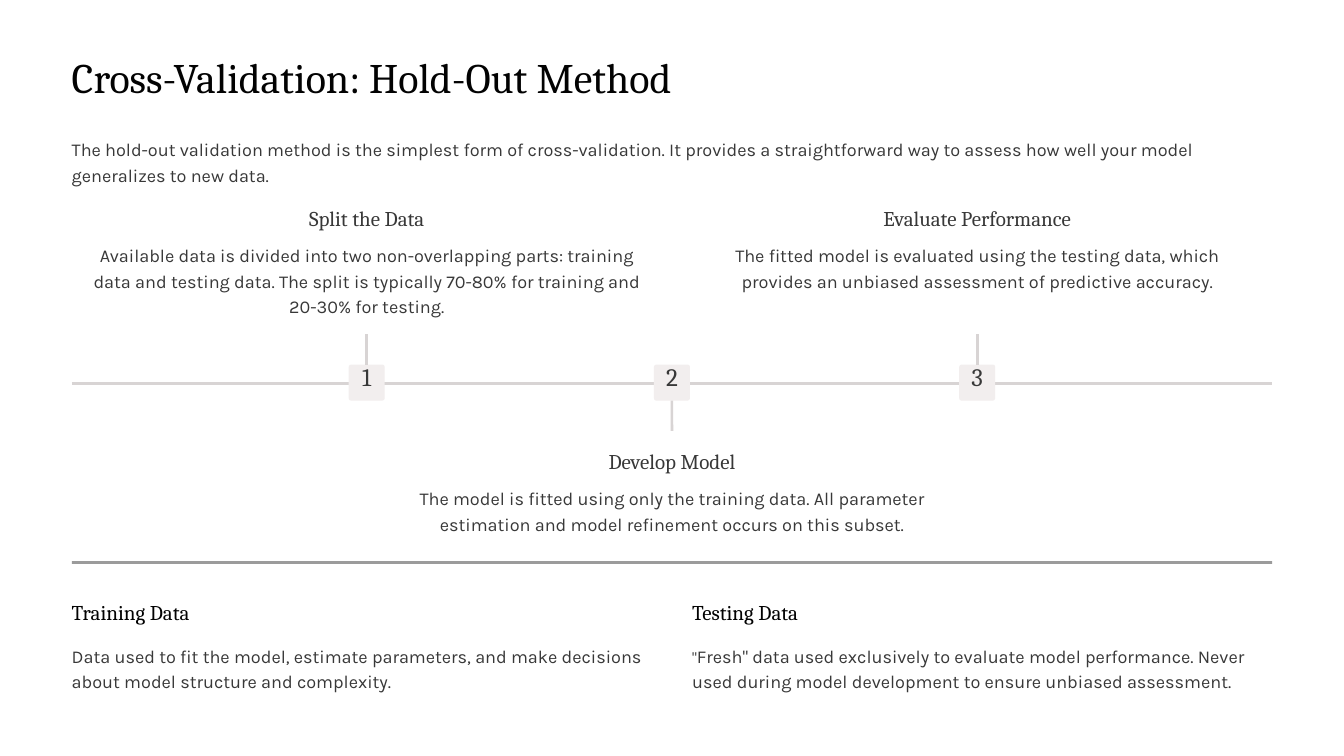
from lxml import etree
from pptx import Presentation
from pptx.dml.color import RGBColor
from pptx.enum import shapes, text
from pptx.oxml import ns
from pptx.util import Cm, Pt

WHITE = RGBColor(0xFF, 0xFF, 0xFF)
NIGHT = RGBColor(0x00, 0x00, 0x00)
BLACK = RGBColor(0x02, 0x02, 0x02)
INK = RGBColor(0x38, 0x38, 0x38)
RULE = RGBColor(0xD8, 0xD4, 0xD4)
TILE = RGBColor(0xF2, 0xEE, 0xEE)

PAGE = (40.64, 22.86)
LEFT, WIDE = 2.17, 36.3
SIDE = 1.09  # edge of a numbered tile
MID = text.PP_ALIGN.CENTER

TITLE = dict(name="Cambria", size=Pt(36), color=BLACK, lead=45)
HEAD = dict(name="Cambria", size=Pt(18), color=BLACK, lead=22.5)
STEP = dict(HEAD, color=INK)
BODY = dict(name="Karla", size=Pt(15.5), color=INK, lead=22)
DIGIT = dict(name="Cambria", size=Pt(21.5), color=INK, lead=21.5)

STEPS = [
    ("Split the Data",
     "Available data is divided into two non-overlapping parts: training data and "
     "testing data. The split is typically 70-80% for training and 20-30% for testing."),
    ("Develop Model",
     "The model is fitted using only the training data. All parameter estimation "
     "and model refinement occurs on this subset."),
    ("Evaluate Performance",
     "The fitted model is evaluated using the testing data, which provides an "
     "unbiased assessment of predictive accuracy."),
]
PARTS = [
    ("Training Data",
     [("Data used to fit the model, estimate parameters, and make decisions about "
       "model structure and complexity.", 15.5)]),
    ("Testing Data",
     [('"', 13.5),
      ('Fresh" data used exclusively to evaluate model performance. Never used '
       "during model development to ensure unbiased assessment.", 15.5)]),
]


def write(frame, runs, style, align=text.PP_ALIGN.LEFT, top=0):
    """Fill a frame with one paragraph; runs is a string or (words, size) pairs."""
    frame.word_wrap = True
    frame.vertical_anchor = text.MSO_ANCHOR.TOP
    for side in ("left", "right", "bottom"):
        setattr(frame, f"margin_{side}", 0)
    frame.margin_top = Cm(top)
    para = frame.paragraphs[0]
    para.alignment = align
    para.line_spacing = Pt(style["lead"])
    if isinstance(runs, str):
        runs = [(runs, style["size"].pt)]
    for words, size in runs:
        run = para.add_run()
        run.text = words
        for key, value in dict(name=style["name"], size=Pt(size)).items():
            setattr(run.font, key, value)
        run.font.color.rgb = style["color"]


def label(slide, box, runs, style, align=text.PP_ALIGN.LEFT):
    frame = slide.shapes.add_textbox(*map(Cm, box)).text_frame
    write(frame, runs, style, align)


def block(slide, kind, box, color):
    """Plain filled shape without outline or shadow."""
    shape = slide.shapes.add_shape(kind, *map(Cm, box))
    shape.shadow.inherit = False
    shape.fill.solid()
    shape.fill.fore_color.rgb = color
    shape.line.fill.background()
    return shape


def line(slide, x1, y1, x2, y2, color=RULE, width=2.16):
    link = slide.shapes.add_connector(
        shapes.MSO_CONNECTOR.STRAIGHT, *map(Cm, (x1, y1, x2, y2)))
    link.line.color.rgb = color
    link.line.width = Pt(width)
    etree.SubElement(link._element.spPr, ns.qn("a:effectLst"))
    return link


def tile(slide, x, y, digit):
    """Numbered tile centred on x, y."""
    shape = block(slide, shapes.MSO_SHAPE.ROUNDED_RECTANGLE,
                  (x - SIDE / 2, y - SIDE / 2, SIDE, SIDE), TILE)
    shape.adjustments[0] = 0.07
    write(shape.text_frame, digit, DIGIT, MID, top=0.05)
    return shape


def backdrop(slide):
    slide.background.fill.solid()
    slide.background.fill.fore_color.rgb = NIGHT
    block(slide, shapes.MSO_SHAPE.RECTANGLE, (0, 0, *PAGE), WHITE)


def header(slide, left, top, wide):
    label(slide, (left, top, wide, 1.6), "Cross-Validation: Hold-Out Method", TITLE)
    label(slide, (left, top + 2.58, wide, 1.55),
          "The hold-out validation method is the simplest form of cross-validation. "
          "It provides a straightforward way to assess how well your model "
          "generalizes to new data.", BODY)


def timeline(slide, left, top, wide):
    """Axis with steps that stand above and below it in turn."""
    axis, gap, span = top + 5.4, 9.23, 16.87
    line(slide, left, axis + 0.03, left + wide, axis + 0.03)
    for i, (name, words) in enumerate(STEPS):
        x = left + wide / 2 + (i - 1) * gap
        below = i % 2
        square = tile(slide, x, axis, str(i + 1))
        tip = axis + (1.46 if below else -1.46)
        stem = line(slide, x, tip, x, axis)
        stem.end_connect(square, 2 if below else 0)
        y = top + (7.36 if below else 0)
        label(slide, (x - span / 2, y, span, 0.81), name, STEP, MID)
        label(slide, (x - span / 2, y + 1.1, span, 1.55 if i else 2.34),
              words, BODY, MID)


def divider(slide, left, y, wide):
    """Half-transparent rule."""
    rule = line(slide, left, y, left + wide, y, INK, 2.5)
    tint = rule._element.spPr.find(".//" + ns.qn("a:srgbClr"))
    etree.SubElement(tint, ns.qn("a:alpha"), val="50000")


def parts(slide, left, top, wide):
    gap = 1.22
    span = (wide - gap) / 2
    for i, (name, runs) in enumerate(PARTS):
        x = left + i * (span + gap)
        label(slide, (x, top, span, 0.81), name, HEAD)
        label(slide, (x, top + 1.29, span, 1.55), runs, BODY)


def main():
    deck = Presentation()
    deck.slide_width, deck.slide_height = map(Cm, PAGE)
    slide = deck.slides.add_slide(deck.slide_layouts[6])
    backdrop(slide)
    header(slide, LEFT, 1.5, WIDE)
    timeline(slide, LEFT, 6.17, WIDE)
    divider(slide, LEFT, 17.01, WIDE)
    parts(slide, LEFT, 18.1, WIDE)
    deck.save("out.pptx")


if __name__ == "__main__":
    main()
